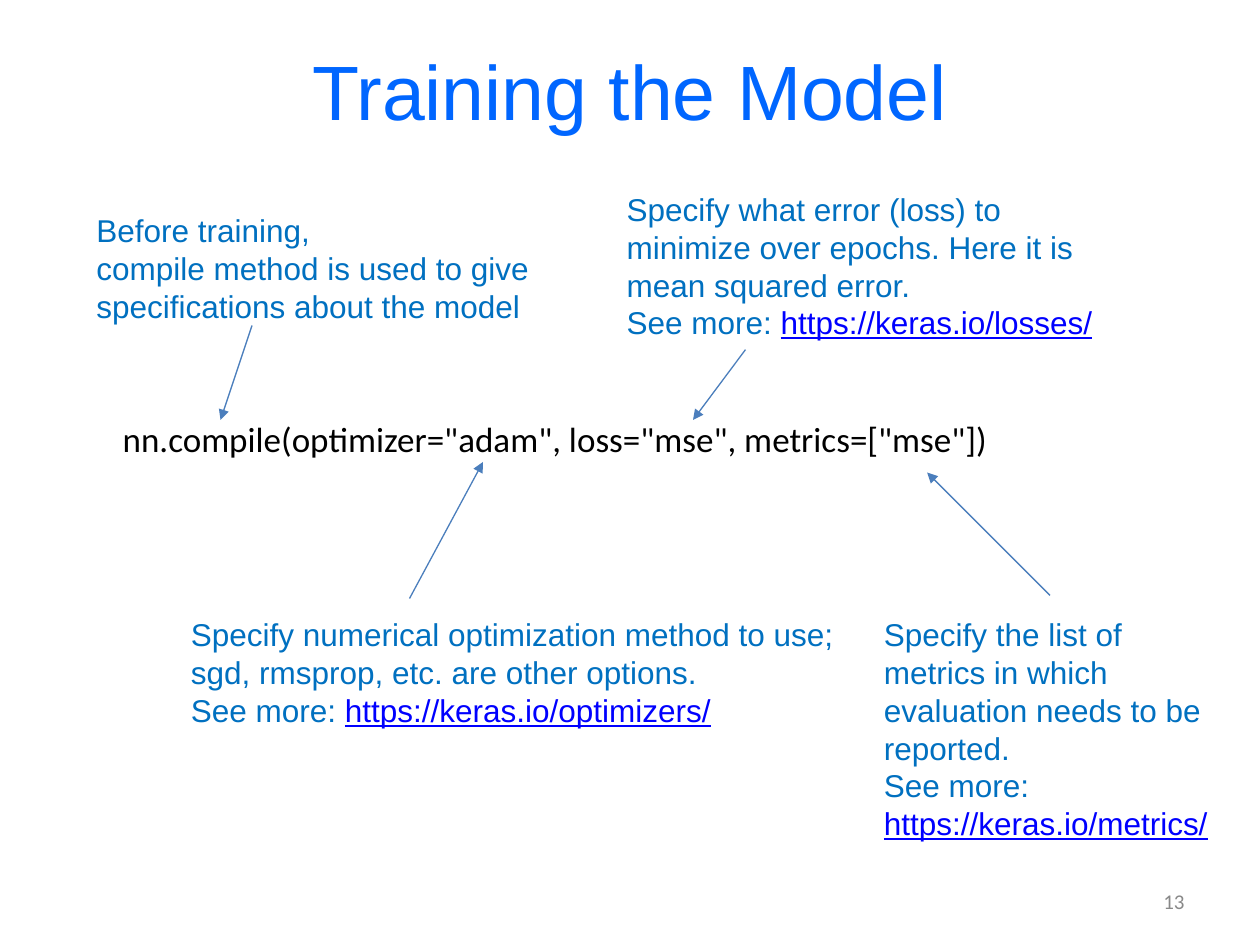
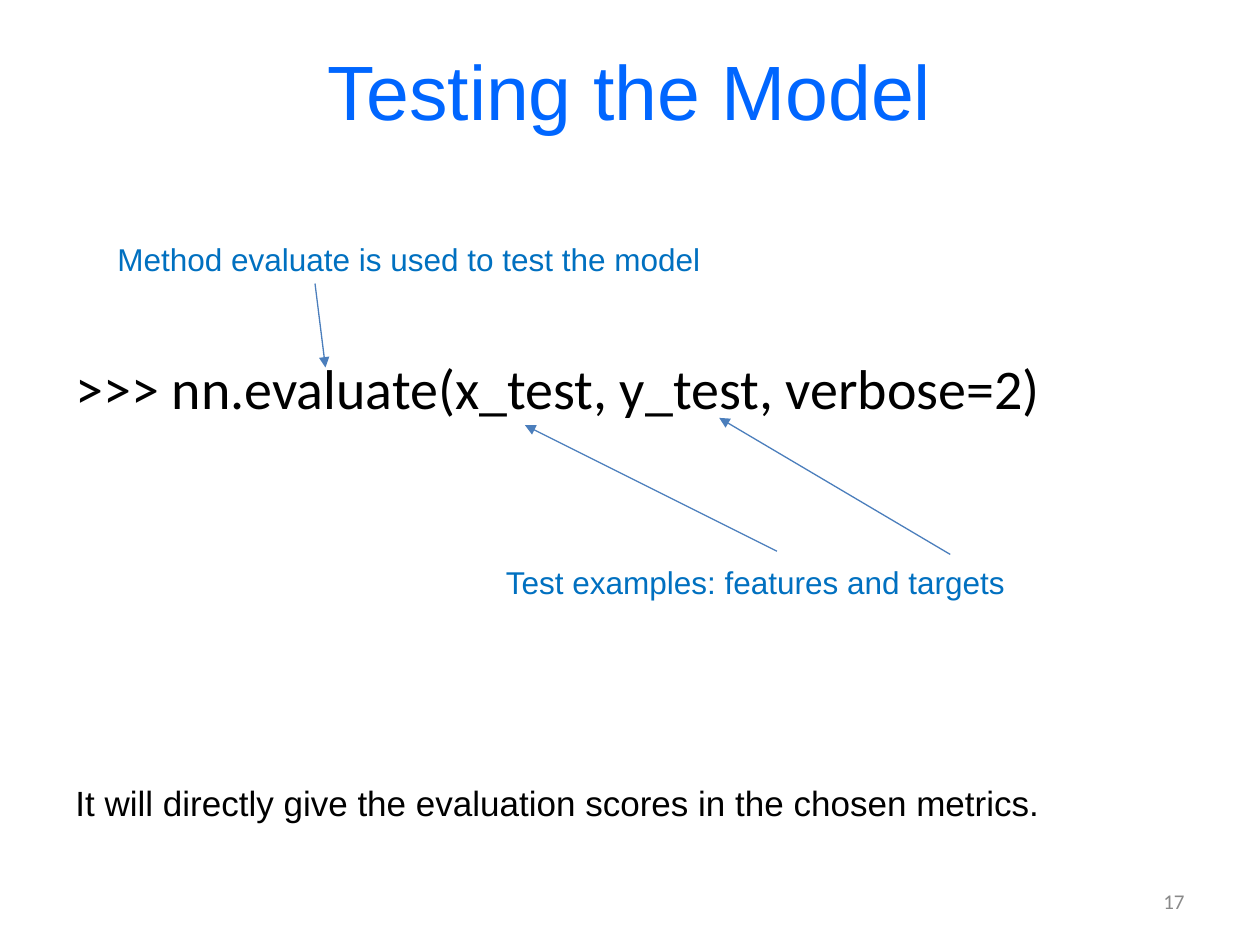
from lxml.etree import SubElement
from pptx import Presentation
from pptx.dml.color import RGBColor
from pptx.enum.shapes import MSO_CONNECTOR
from pptx.enum.text import MSO_ANCHOR, PP_ALIGN
from pptx.oxml.ns import qn
from pptx.util import Inches, Pt

presentation = Presentation()
presentation.slide_width = Inches(10)
presentation.slide_height = Inches(7.5)
COLUMN = presentation.slide_width / 120
ROW = presentation.slide_height / 90

ARROW_COLOR = "4B7EBC"
LINK_COLOR = "0000FF"
TITLE_AREA = (6, 1, 108, 15)
NUMBER_AREA = (86, 83.4, 28, 4.8)

STYLES = {
    "title": {"font": "Arial", "size": 44, "color": "0066FF",
              "align": PP_ALIGN.CENTER, "anchor": MSO_ANCHOR.MIDDLE},
    "number": {"font": "Calibri", "size": 12, "color": "898989",
               "align": PP_ALIGN.RIGHT, "anchor": MSO_ANCHOR.MIDDLE},
    "note": {"font": "Arial", "size": 18, "color": "0070C0"},
    "code": {"font": "Calibri", "size": 20, "color": "000000"},
    "large code": {"font": "Calibri", "size": 32, "color": "000000"},
    "remark": {"font": "Arial", "size": 20, "color": "000000"},
}

SLIDES = [
    {
        "title": "Training the Model",
        "number": "13",
        "texts": [
            ("code", (10.5, 39.2, 96, 5.3),
             ['nn.compile(optimizer="adam", loss="mse", metrics=["mse"])']),
            ("note", (8, 19.5, 44.9, 12.1),
             ["Before training,",
              "compile method is used to give",
              "specifications about the model"]),
            ("note", (17, 58, 64.2, 12.1),
             ["Specify numerical optimization method to use;",
              "sgd, rmsprop, etc. are other options.",
              "See more: https://keras.io/optimizers/"]),
            ("note", (58.5, 17.5, 48, 15.7),
             ["Specify what error (loss) to",
              "minimize over epochs. Here it is",
              "mean squared error.",
              "See more: https://keras.io/losses/"]),
            ("note", (83, 58, 38, 23),
             ["Specify the list of",
              "metrics in which",
              "evaluation needs to be",
              "reported.",
              "See more: https://keras.io/metrics/"]),
        ],
        "arrows": [(24, 31, 21, 40), (39, 57, 46, 44),
                   (71, 33.3, 66, 40), (100, 56.7, 88.3, 45)],
    },
    {
        "title": "Testing the Model",
        "number": "17",
        "texts": [
            ("large code", (6, 33.1, 108, 7.7),
             [">>> nn.evaluate(x_test, y_test, verbose=2)"]),
            ("note", (10, 22.3, 58.4, 4.8),
             ["Method evaluate is used to test the model"]),
            ("note", (47, 53, 51.6, 4.8),
             ["Test examples: features and targets"]),
            ("remark", (6, 73.8, 94.9, 5.3),
             ["It will directly give the evaluation scores in the chosen metrics."]),
        ],
        "arrows": [(30, 27, 31, 35), (74, 52.5, 50, 40.5), (90.5, 52.8, 68.5, 39.8)],
    },
]


def add_text(slide, style_name, area, lines):
    style = STYLES[style_name]
    left, top, width, height = area
    box = slide.shapes.add_textbox(
        int(left * COLUMN), int(top * ROW), int(width * COLUMN), int(height * ROW))
    frame = box.text_frame
    frame.word_wrap = True
    frame.vertical_anchor = style.get("anchor", MSO_ANCHOR.TOP)
    for index, line in enumerate(lines):
        paragraph = frame.add_paragraph() if index else frame.paragraphs[0]
        paragraph.alignment = style.get("align", PP_ALIGN.LEFT)
        words, scheme, address = line.partition("https://")
        for text, is_link in ((words, False), (scheme + address, True)):
            if not text:
                continue
            run = paragraph.add_run()
            run.text = text
            font_values = {"name": style["font"], "size": Pt(style["size"]),
                           "underline": is_link}
            for attribute, value in font_values.items():
                setattr(run.font, attribute, value)
            run.font.color.rgb = RGBColor.from_string(
                LINK_COLOR if is_link else style["color"])


def add_arrow(slide, start_x, start_y, end_x, end_y):
    arrow = slide.shapes.add_connector(
        MSO_CONNECTOR.STRAIGHT, int(start_x * COLUMN), int(start_y * ROW),
        int(end_x * COLUMN), int(end_y * ROW))
    arrow.line.color.rgb = RGBColor.from_string(ARROW_COLOR)
    arrow.line.width = Pt(0.75)
    SubElement(arrow.line._get_or_add_ln(), qn("a:tailEnd"), type="triangle")
    SubElement(arrow._element.spPr, qn("a:effectLst"))


for content in SLIDES:
    slide = presentation.slides.add_slide(presentation.slide_layouts[6])
    add_text(slide, "title", TITLE_AREA, [content["title"]])
    add_text(slide, "number", NUMBER_AREA, [content["number"]])
    for style_name, area, lines in content["texts"]:
        add_text(slide, style_name, area, lines)
    for ends in content["arrows"]:
        add_arrow(slide, *ends)

presentation.save("out.pptx")
